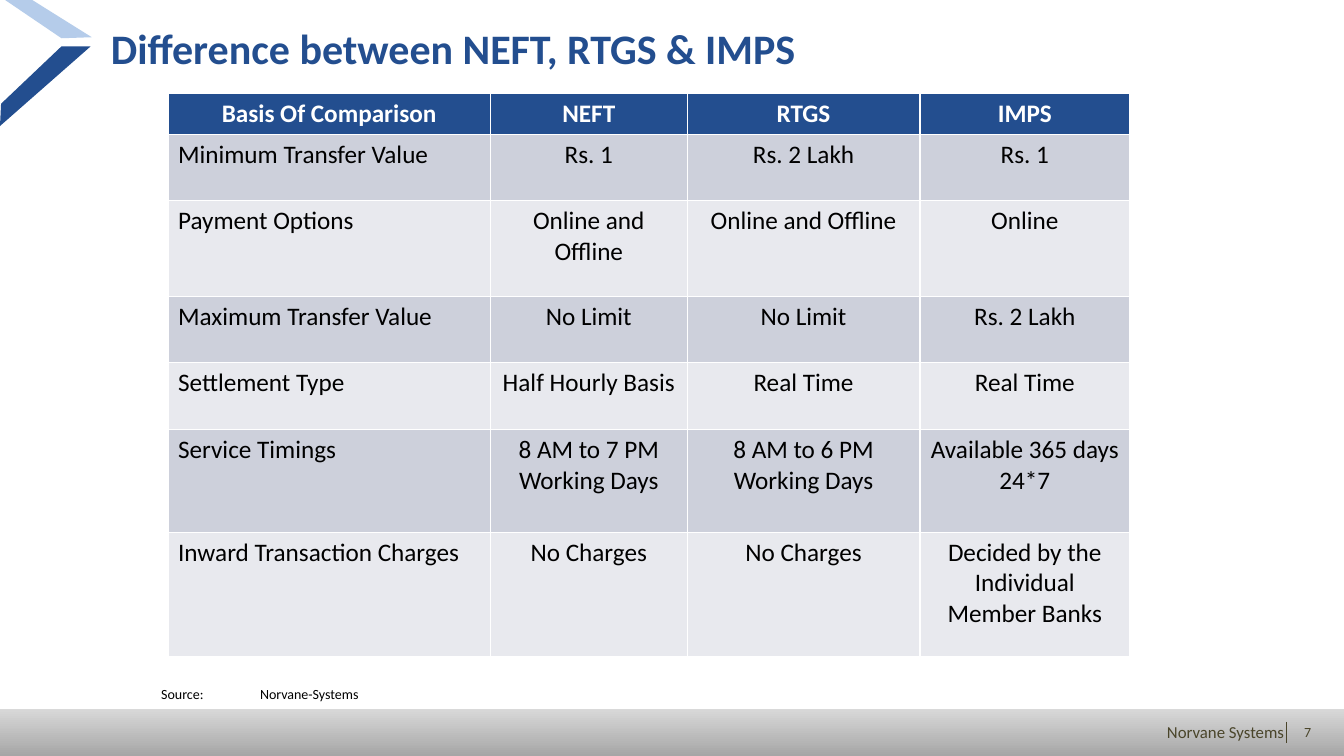
from dataclasses import dataclass

from lxml.etree import SubElement
from pptx import Presentation
from pptx.dml.color import RGBColor
from pptx.enum.shapes import MSO_CONNECTOR as Line, MSO_SHAPE as Shape
from pptx.enum.text import MSO_ANCHOR as Anchor, PP_ALIGN as Align
from pptx.oxml.ns import qn
from pptx.util import Inches, Pt


@dataclass(frozen=True)
class Theme:
    font: str = "Calibri"
    navy: str = "234E8F"
    sky: str = "B5CCEA"
    olive: str = "4A452A"
    white: str = "FFFFFF"
    black: str = "000000"
    bands: tuple = ("CDD0DB", "E8E9EE")
    footer: tuple = ("D9D9D9", "A6A6A6")
    title: int = 30
    body: int = 18
    brand: int = 12
    small: int = 10


T = Theme()
WIDTH, HEIGHT = Inches(13.33), Inches(7.5)

COLUMNS = (24, 14.63, 17.33, 15.6)
ROWS = (
    (5.33, ("Basis Of Comparison", "NEFT", "RTGS", "IMPS")),
    (8.8, ("Minimum Transfer Value", "Rs. 1", "Rs. 2 Lakh", "Rs. 1")),
    (12.67, ("Payment Options", "Online and Offline", "Online and Offline", "Online")),
    (8.8, ("Maximum Transfer Value", "No Limit", "No Limit", "Rs. 2 Lakh")),
    (8.8, ("Settlement Type", "Half Hourly Basis", "Real Time", "Real Time")),
    (13.6, ("Service Timings", "8 AM to 7 PM Working Days",
            "8 AM to 6 PM Working Days", "Available 365 days 24*7")),
    (16.4, ("Inward Transaction Charges", "No Charges", "No Charges",
            "Decided by the Individual Member Banks")),
)


def across(percent):
    return round(WIDTH * percent / 100)


def down(percent):
    return round(HEIGHT * percent / 100)


def box(x, y, w, h):
    return across(x), down(y), across(w), down(h)


def rgb(color):
    return RGBColor.from_string(color)


def add_run(p, text, size, color, bold=False):
    r = p.add_run()
    r.text = text
    r.font.name, r.font.size, r.font.bold = T.font, Pt(size), bold
    r.font.color.rgb = rgb(color)


def add_text(s, area, text, size, color, align=Align.LEFT,
             anchor=Anchor.TOP, bold=False, wrap=True):
    tf = s.shapes.add_textbox(*box(*area)).text_frame
    tf.margin_left = tf.margin_right = tf.margin_top = tf.margin_bottom = 0
    tf.word_wrap, tf.vertical_anchor = wrap, anchor
    p = tf.paragraphs[0]
    p.alignment = align
    add_run(p, text, size, color, bold)
    return p


def add_tab_stop(p, percent):
    tabs = SubElement(p._p.get_or_add_pPr(), qn("a:tabLst"))
    SubElement(tabs, qn("a:tab"), pos=str(across(percent)), algn="l")


def add_outline(s, points, color):
    start, *rest = [(across(x), down(y)) for x, y in points]
    builder = s.shapes.build_freeform(*start)
    builder.add_line_segments(rest, close=True)
    sp = builder.convert_to_shape()
    sp.shadow.inherit = False
    sp.fill.solid()
    sp.fill.fore_color.rgb = rgb(color)
    sp.line.fill.background()


def add_footer_bar(s, area):
    sp = s.shapes.add_shape(Shape.RECTANGLE, *box(*area))
    sp.shadow.inherit = False
    sp.line.fill.background()
    sp.fill.gradient()
    sp.fill.gradient_angle = 270
    for stop, color, position in zip(sp.fill.gradient_stops, T.footer, (0, 1)):
        stop.color.rgb = rgb(color)
        stop.position = position


def add_divider(s, x, top, bottom):
    sp = s.shapes.add_connector(Line.STRAIGHT, across(x), down(top),
                                across(x), down(bottom))
    sp.line.color.rgb, sp.line.width = rgb(T.olive), Pt(0.75)
    SubElement(sp._element.spPr, qn("a:effectLst"))


def style_cell(cell, fill):
    tc_pr = cell._tc.get_or_add_tcPr()
    for side in ("lnL", "lnR", "lnT", "lnB"):
        border = SubElement(tc_pr, qn(f"a:{side}"), w=str(Pt(1)))
        SubElement(SubElement(border, qn("a:solidFill")), qn("a:srgbClr"), val=T.white)
    cell.fill.solid()
    cell.fill.fore_color.rgb = rgb(fill)


def add_comparison(s, x, y):
    area = box(x, y, sum(COLUMNS), sum(height for height, _ in ROWS))
    table = s.shapes.add_table(len(ROWS), len(COLUMNS), *area).table
    for column, width in zip(table.columns, COLUMNS):
        column.width = across(width)
    for i, (height, texts) in enumerate(ROWS):
        table.rows[i].height = down(height)
        header = i == 0
        for j, text in enumerate(texts):
            cell = table.cell(i, j)
            style_cell(cell, T.navy if header else T.bands[(i - 1) % 2])
            p = cell.text_frame.paragraphs[0]
            p.alignment = Align.CENTER if header or j else Align.LEFT
            add_run(p, text, T.body, T.white if header else T.black, header)


def main():
    prs = Presentation()
    prs.slide_width, prs.slide_height = WIDTH, HEIGHT
    s = prs.slides.add_slide(prs.slide_layouts[6])

    add_footer_bar(s, (0, 93.73, 100, 6.27))
    add_text(s, (96.7, 95.73, 1.2, 2.27), "7", T.small, T.olive,
             Align.CENTER, wrap=False)
    add_text(s, (86.25, 95.47, 9.3, 2.67), "Norvane Systems", T.brand, T.olive,
             Align.RIGHT, Anchor.MIDDLE, wrap=False).alignment = Align.RIGHT
    add_divider(s, 95.7, 95.47, 98.27)

    add_outline(s, ((2.4, 0), (6.83, 4.93), (4.58, 5.07), (0.38, 0)), T.sky)
    add_outline(s, ((4.58, 6.13), (6.75, 6.13), (0, 16.67), (0.08, 13.73)), T.navy)

    add_text(s, (8.25, 2.93, 89.63, 6.67), "Difference between NEFT, RTGS & IMPS",
             T.title, T.navy, bold=True)
    add_comparison(s, 12.5, 12.4)
    source = add_text(s, (12, 90.67, 61, 2.27), "Source:\tNorvane-Systems",
                      T.small, T.black, anchor=Anchor.BOTTOM)
    add_tab_stop(source, 7.35)

    prs.save("out.pptx")


if __name__ == "__main__":
    main()
